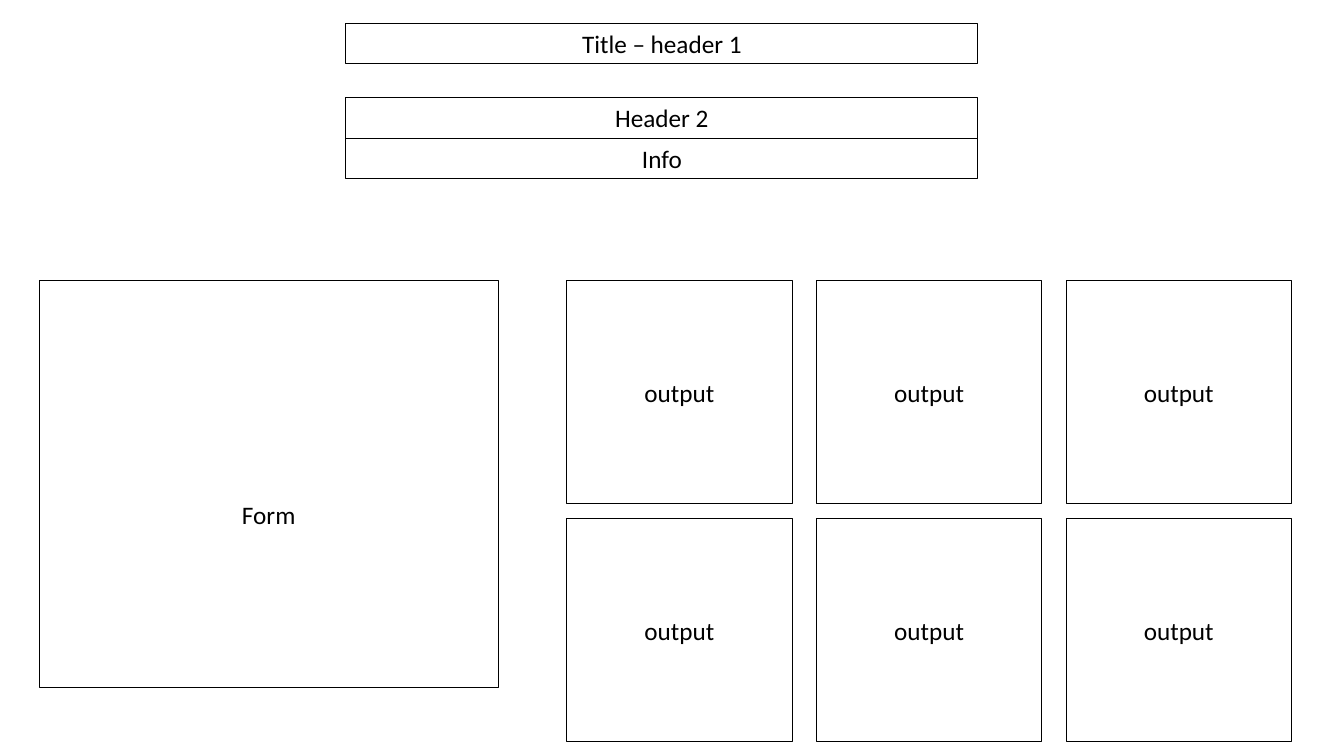
from pptx import Presentation
from pptx.dml.color import RGBColor
from pptx.enum.shapes import MSO_SHAPE
from pptx.enum.text import MSO_ANCHOR, MSO_AUTO_SIZE, PP_ALIGN
from pptx.util import Inches, Pt

RECT = MSO_SHAPE.RECTANGLE
CENTER = PP_ALIGN.CENTER
MIDDLE = MSO_ANCHOR.MIDDLE
FIXED = MSO_AUTO_SIZE.NONE
BLACK = "000000"


def color(code):
    return RGBColor.from_string(code)


def write(shape, text, size=18, font="Calibri", ink=BLACK, drop=0):
    """Centre the text; drop is extra inset above it, in inches."""
    frame = shape.text_frame
    frame.text = text
    frame.word_wrap = True
    frame.auto_size = FIXED
    frame.vertical_anchor = MIDDLE
    frame.margin_top = Inches(0.05 + drop)
    frame.margin_bottom = Inches(0.05)
    line = frame.paragraphs[0]
    line.alignment = CENTER
    line.font.size = Pt(size)
    line.font.name = font
    line.font.color.rgb = color(ink)


def frame_box(shape, text, **style):
    shape.fill.background()
    shape.line.color.rgb = color(BLACK)
    shape.line.width = Pt(0.75)
    write(shape, text, **style)


def panel(slide, text, left, top, width, height, **style):
    shape = slide.shapes.add_shape(
        RECT, Inches(left), Inches(top), Inches(width), Inches(height))
    shape.shadow.inherit = False
    frame_box(shape, text, **style)


def header(slide, left, top, width, row=0.4, gap=0.34):
    # Title
    title = slide.shapes.title
    title.left, title.top = Inches(left), Inches(top)
    title.width, title.height = Inches(width), Inches(row)
    frame_box(title, "Title – header 1")
    # Second header with its info row
    start = top + row + gap
    for i, text in enumerate(["Header 2", "Info"]):
        panel(slide, text, left, start + i * row, width, row)


def form(slide, left, top, width, height):
    panel(slide, "Form", left, top, width, height, drop=0.6)


def outputs(slide, left, top, width, height, cols=3, rows=2):
    gap_x, gap_y = 0.24, 0.14
    wide = (width - (cols - 1) * gap_x) / cols
    high = (height - (rows - 1) * gap_y) / rows
    for row in range(rows):
        for col in range(cols):
            panel(slide, "output", left + col * (wide + gap_x),
                  top + row * (high + gap_y), wide, high)


deck = Presentation()
deck.slide_width, deck.slide_height = Inches(13.33), Inches(7.5)
page = deck.slides.add_slide(deck.slide_layouts[5])

header(page, 3.43, 0.23, 6.27)
form(page, 0.39, 2.78, 4.55, 4.04)
outputs(page, 5.62, 2.78, 7.19, 4.58)

deck.save("out.pptx")
